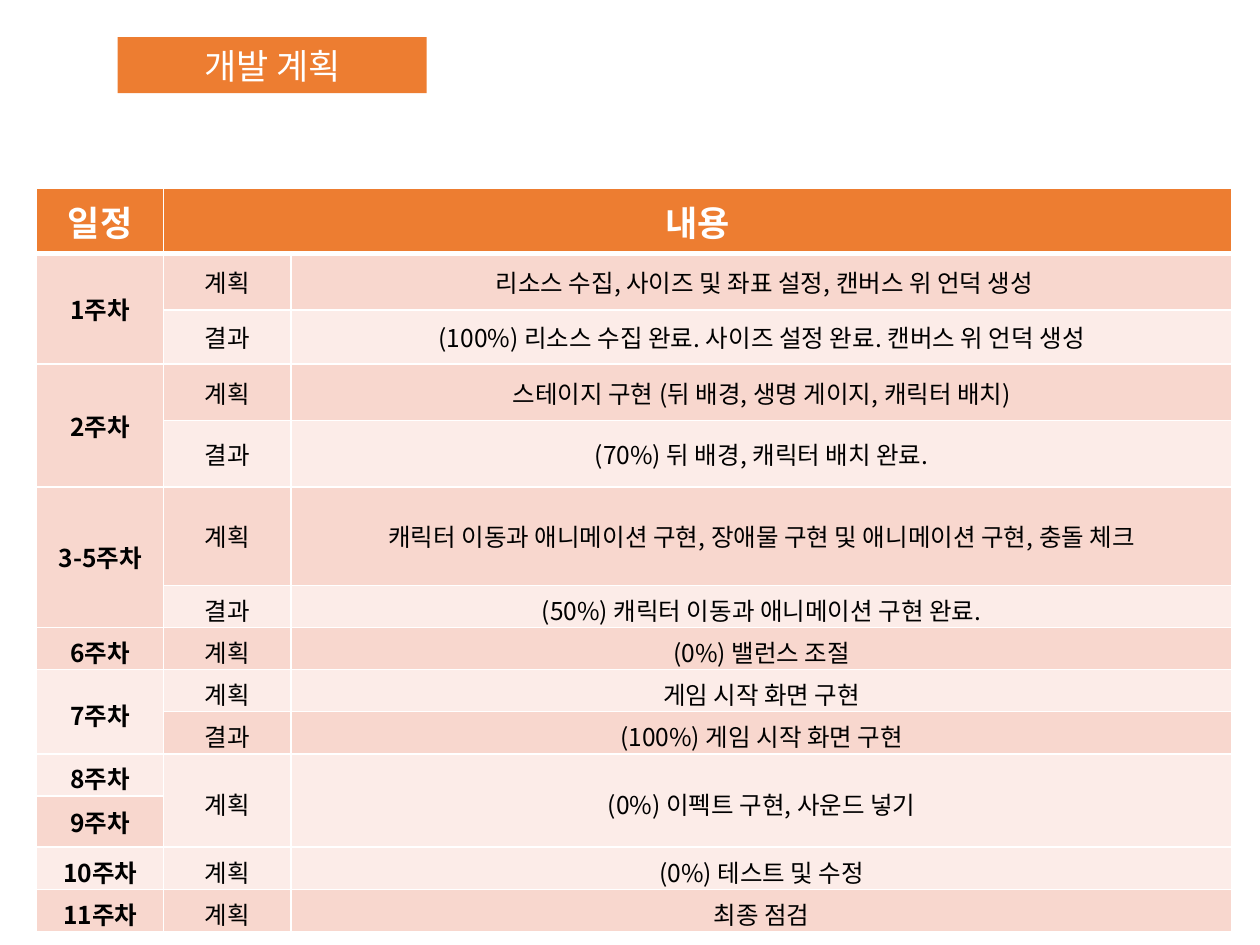
"""Build the development plan slide with its weekly schedule table."""
from lxml import etree
from pptx import Presentation
from pptx.dml.color import RGBColor
from pptx.enum.shapes import MSO_SHAPE
from pptx.enum.text import MSO_ANCHOR, MSO_AUTO_SIZE, PP_ALIGN
from pptx.oxml.ns import qn
from pptx.util import Cm, Pt

RECTANGLE = MSO_SHAPE.RECTANGLE
MIDDLE = MSO_ANCHOR.MIDDLE
CENTER = PP_ALIGN.CENTER
FIT_SHAPE = MSO_AUTO_SIZE.SHAPE_TO_FIT_TEXT
FONT = "Noto Sans CJK KR"
ORANGE, WHITE, BLACK = "ED7D31", "FFFFFF", "000000"
BANDS = ("F8D7CE", "FCECE8")
COLUMN_WIDTHS = (2.56, 2.57, 18.97)
HEADER_HEIGHT = 1.31
LOW = 0.85
PLAN, RESULT = "계획", "결과"

SCHEDULE = [
    (1.14, "1주차", PLAN, " 리소스 수집, 사이즈 및 좌표 설정, 캔버스 위 언덕 생성"),
    (1.09, None, RESULT, "(100%) 리소스 수집 완료. 사이즈 설정 완료. 캔버스 위 언덕 생성"),
    (1.14, "2주차", PLAN, "스테이지 구현 (뒤 배경, 생명 게이지, 캐릭터 배치)"),
    (1.34, None, RESULT, "(70%) 뒤 배경, 캐릭터 배치 완료."),
    (1.98, "3-5주차", PLAN, "캐릭터 이동과 애니메이션 구현, 장애물 구현 및 애니메이션 구현, 충돌 체크"),
    (LOW, None, RESULT, "(50%) 캐릭터 이동과 애니메이션 구현 완료."),
    (LOW, "6주차", PLAN, "(0%) 밸런스 조절"),
    (LOW, "7주차", PLAN, "게임 시작 화면 구현"),
    (LOW, None, RESULT, "(100%) 게임 시작 화면 구현"),
    (LOW, "8주차", PLAN, "(0%) 이펙트 구현, 사운드 넣기"),
    (1.03, "9주차", None, None),
    (LOW, "10주차", PLAN, "(0%) 테스트 및 수정"),
    (LOW, "11주차", PLAN, "최종 점검"),
]


def color(value):
    return RGBColor.from_string(value)


def write(text_frame, text, size, text_color, bold=False):
    text_frame.text = text
    paragraph = text_frame.paragraphs[0]
    paragraph.alignment = CENTER
    for run in paragraph.runs:
        run.font.size = Pt(size)
        run.font.bold = bold
        run.font.color.rgb = color(text_color)
        run.font.name = FONT
        etree.SubElement(run.font._element, qn("a:ea"), typeface=FONT)


presentation = Presentation()
presentation.slide_width = Cm(25.4)
presentation.slide_height = Cm(19.05)
slide = presentation.slides.add_slide(presentation.slide_layouts[6])

row_heights = [HEADER_HEIGHT] + [row[0] for row in SCHEDULE]
table = slide.shapes.add_table(
    len(row_heights), len(COLUMN_WIDTHS), Cm(0.74), Cm(3.8),
    Cm(sum(COLUMN_WIDTHS)), Cm(sum(row_heights))).table
for column, width in zip(table.columns, COLUMN_WIDTHS):
    column.width = Cm(width)
for table_row, height in zip(table.rows, row_heights):
    table_row.height = Cm(height)

rows = [("일정", "내용", None)] + [row[1:] for row in SCHEDULE]
for row_index, texts in enumerate(rows):
    is_header = row_index == 0
    for column_index, text in enumerate(texts):
        cell = table.cell(row_index, column_index)
        cell.vertical_anchor = MIDDLE
        if row_heights[row_index] == LOW:
            cell.margin_bottom = Cm(0)
        properties = cell._tc.get_or_add_tcPr()
        for side in "LRTB":
            thick = (is_header and side == "B") or (row_index == 1 and side == "T")
            line = etree.SubElement(properties, qn(f"a:ln{side}"), w=str(Pt(3 if thick else 1)))
            line_fill = etree.SubElement(line, qn("a:solidFill"))
            etree.SubElement(line_fill, qn("a:srgbClr"), val=WHITE)
        cell.fill.solid()
        cell.fill.fore_color.rgb = color(ORANGE if is_header else BANDS[(row_index - 1) % 2])
        if text and is_header:
            write(cell.text_frame, text, 20, WHITE, True)
        elif text:
            write(cell.text_frame, text, 14, BLACK, column_index == 0)
        elif is_header:
            table.cell(row_index, column_index - 1).merge(cell)
        else:
            table.cell(row_index - 1, column_index).merge(cell)

title_bar = slide.shapes.add_shape(RECTANGLE, Cm(2.37), Cm(0.75), Cm(6.23), Cm(1.13))
title_bar.shadow.inherit = False
title_bar.fill.solid()
title_bar.fill.fore_color.rgb = color(ORANGE)
title_bar.line.fill.background()

title = slide.shapes.add_textbox(Cm(2.39), Cm(0.77), Cm(6.22), Cm(1.11))
title.text_frame.word_wrap = True
title.text_frame.auto_size = FIT_SHAPE
write(title.text_frame, "개발 계획", 20, WHITE)

presentation.save("out.pptx")
